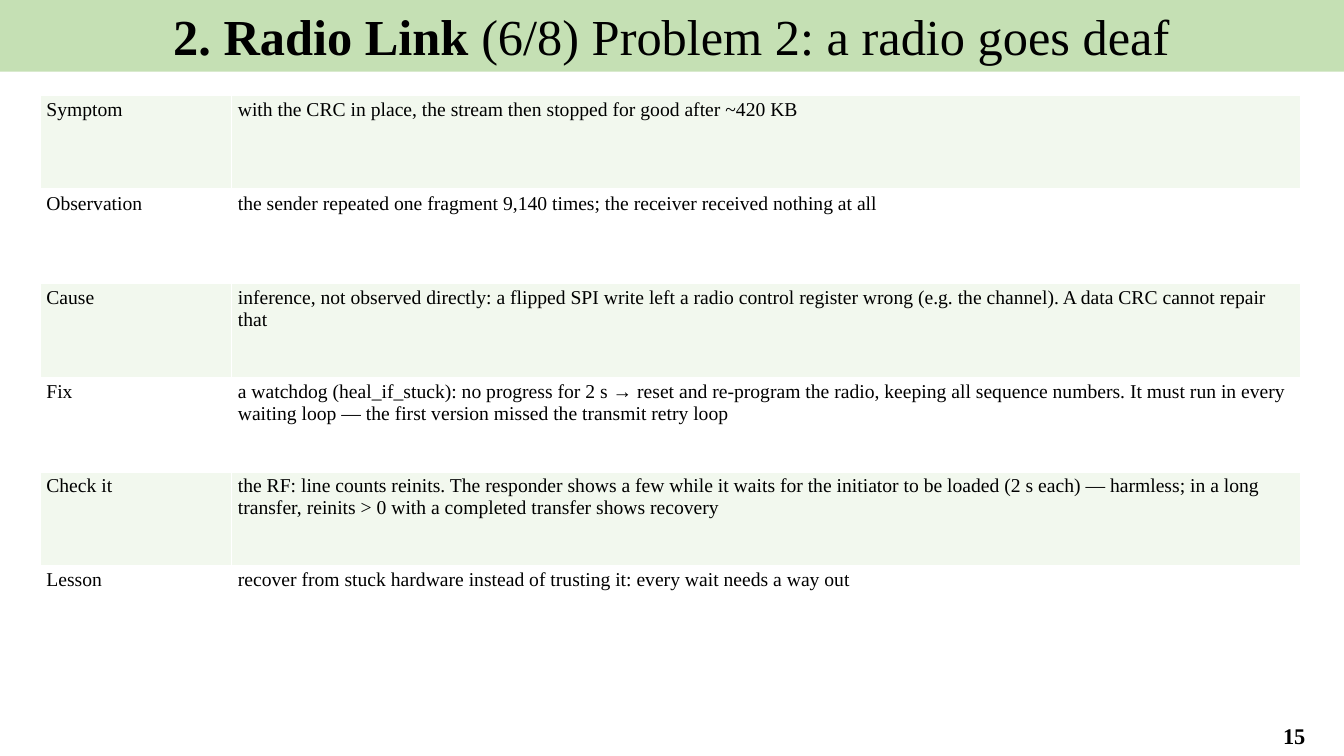
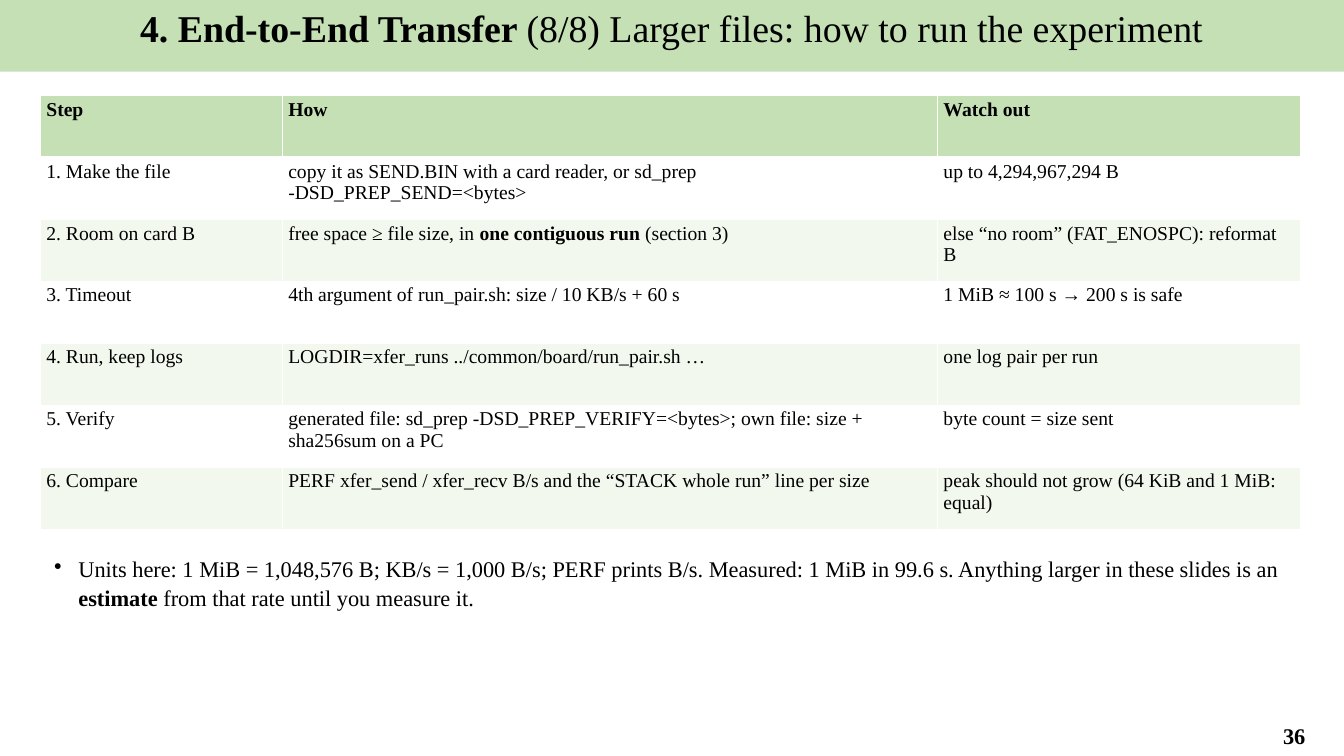
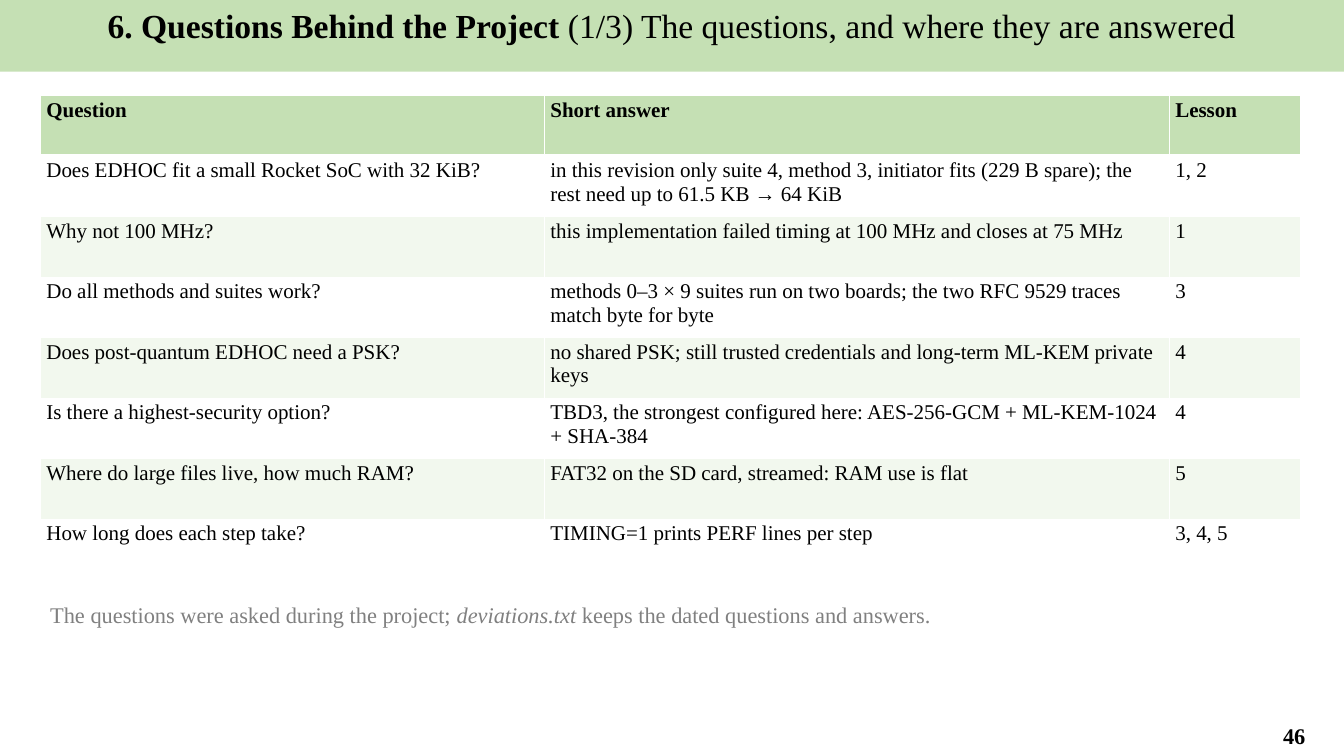
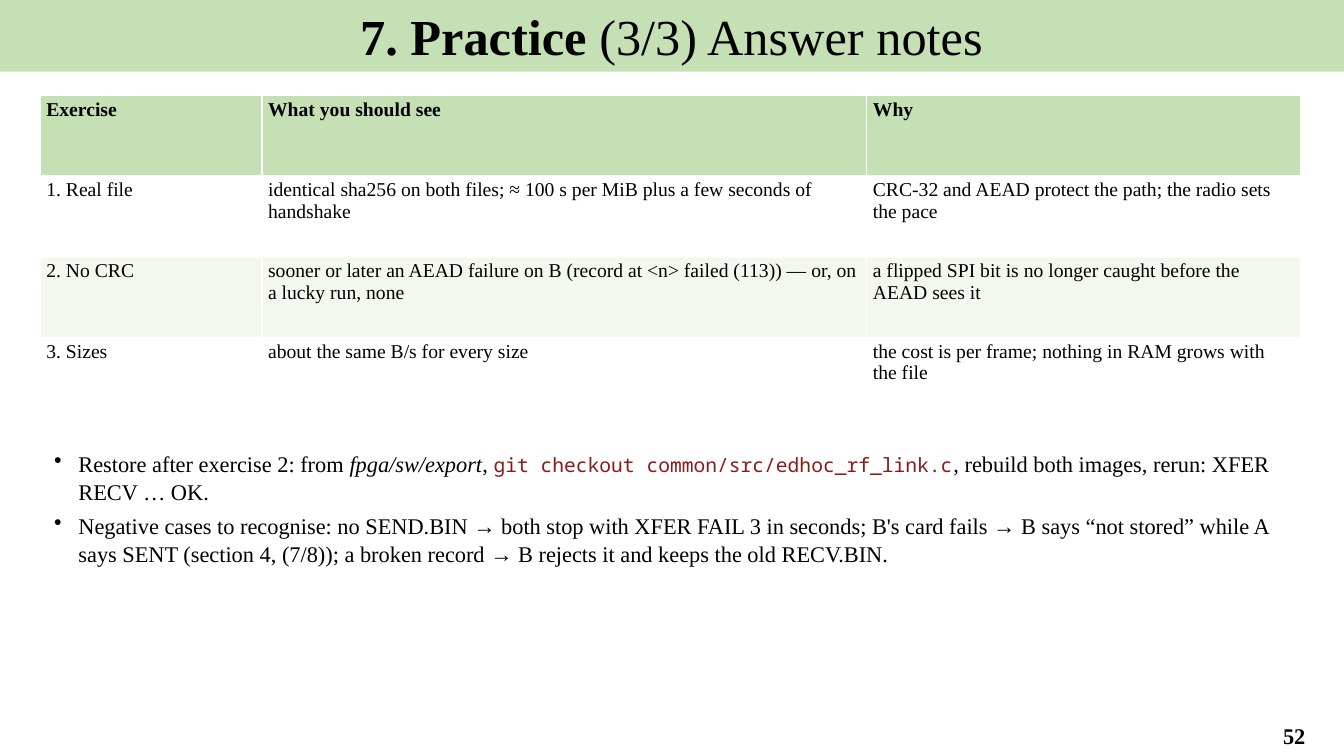
from dataclasses import dataclass
from typing import Optional, Union

from lxml import etree
from pptx import Presentation
from pptx import util as u
from pptx.dml.color import RGBColor
from pptx.enum import shapes, text
from pptx.oxml import ns

BLACK = RGBColor(0x00, 0x00, 0x00)
WHITE = RGBColor(0xFF, 0xFF, 0xFF)
GREEN = RGBColor(0xC5, 0xE0, 0xB4)
PALE_GREEN = RGBColor(0xF2, 0xF8, 0xEE)
GRAY = RGBColor(0x80, 0x80, 0x80)
CODE_RED = RGBColor(0x8B, 0x1A, 0x1A)

SERIF = "Times New Roman"
MONO = "Noto Sans Mono"

SLIDE_WIDTH = 960
SLIDE_HEIGHT = 540
BAND_HEIGHT = 51.12
MARGIN = 28.8
CONTENT_WIDTH = 900
TABLE_TOP = 68.4
NOTE_SIZE = 16
CODE_SIZE = 14
BULLET_INDENT = 20.16
BULLET_HANG = 17.28
CELL_MARGINS = {
    "margin_left": u.Pt(4.32),
    "margin_right": u.Pt(4.32),
    "margin_top": u.Pt(2.16),
    "margin_bottom": u.Pt(2.16),
}


@dataclass(frozen=True)
class Run:
    text: str
    bold: bool = False
    italic: bool = False
    code: bool = False


Line = Union[str, tuple[Run, ...]]


@dataclass(frozen=True)
class Grid:
    widths: tuple[float, ...]
    height: float
    rows: tuple[tuple[Line, ...], ...]
    size: float = 14
    header: bool = True


@dataclass(frozen=True)
class Note:
    top: float
    height: float
    lines: tuple[Line, ...]
    bullets: bool = True
    color: RGBColor = BLACK


@dataclass(frozen=True)
class Page:
    section: str
    topic: str
    title_size: float
    number: int
    grid: Grid
    note: Optional[Note] = None


PAGES = (
    Page(
        "2. Radio Link ", "(6/8) Problem 2: a radio goes deaf", 36, 15,
        Grid((136.8, 763.2), 403.2, (
            ("Symptom", "with the CRC in place, the stream then stopped for good after ~420 KB"),
            ("Observation",
             "the sender repeated one fragment 9,140 times; the receiver received nothing at all"),
            ("Cause",
             "inference, not observed directly: a flipped SPI write left a radio control register "
             "wrong (e.g. the channel). A data CRC cannot repair that"),
            ("Fix",
             "a watchdog (heal_if_stuck): no progress for 2 s → reset and re-program the radio, "
             "keeping all sequence numbers. It must run in every waiting loop — the first version "
             "missed the transmit retry loop"),
            ("Check it",
             "the RF: line counts reinits. The responder shows a few while it waits for the "
             "initiator to be loaded (2 s each) — harmless; in a long transfer, reinits > 0 with "
             "a completed transfer shows recovery"),
            ("Lesson",
             "recover from stuck hardware instead of trusting it: every wait needs a way out"),
        ), header=False),
    ),
    Page(
        "4. End-to-End Transfer ", "(8/8) Larger files: how to run the experiment", 27, 36,
        Grid((172.8, 468, 259.2), 309.6, (
            ("Step", "How", "Watch out"),
            ("1. Make the file",
             "copy it as SEND.BIN with a card reader, or sd_prep -DSD_PREP_SEND=<bytes>",
             "up to 4,294,967,294 B"),
            ("2. Room on card B",
             (Run("free space ≥ file size, in "), Run("one contiguous run", bold=True),
              Run(" (section 3)")),
             "else “no room” (FAT_ENOSPC): reformat B"),
            ("3. Timeout", "4th argument of run_pair.sh: size / 10 KB/s + 60 s",
             "1 MiB ≈ 100 s → 200 s is safe"),
            ("4. Run, keep logs", "LOGDIR=xfer_runs ../common/board/run_pair.sh …",
             "one log pair per run"),
            ("5. Verify",
             "generated file: sd_prep -DSD_PREP_VERIFY=<bytes>; own file: size + sha256sum on a PC",
             "byte count = size sent"),
            ("6. Compare",
             "PERF xfer_send / xfer_recv B/s and the “STACK whole run” line per size",
             "peak should not grow (64 KiB and 1 MiB: equal)"),
        )),
        Note(392.4, 100.8, (
            (Run("Units here: 1 MiB = 1,048,576 B; KB/s = 1,000 B/s; PERF prints B/s. Measured: "
                 "1 MiB in 99.6 s. Anything larger in these slides is an "),
             Run("estimate", bold=True), Run(" from that rate until you measure it.")),
        )),
    ),
    Page(
        "6. Questions Behind the Project ", "(1/3) The questions, and where they are answered",
        24, 46,
        Grid((360, 446.4, 93.6), 345.6, (
            ("Question", "Short answer", "Lesson"),
            ("Does EDHOC fit a small Rocket SoC with 32 KiB?",
             "in this revision only suite 4, method 3, initiator fits (229 B spare); the rest "
             "need up to 61.5 KB → 64 KiB", "1, 2"),
            ("Why not 100 MHz?",
             "this implementation failed timing at 100 MHz and closes at 75 MHz", "1"),
            ("Do all methods and suites work?",
             "methods 0–3 × 9 suites run on two boards; the two RFC 9529 traces match byte for byte",
             "3"),
            ("Does post-quantum EDHOC need a PSK?",
             "no shared PSK; still trusted credentials and long-term ML-KEM private keys", "4"),
            ("Is there a highest-security option?",
             "TBD3, the strongest configured here: AES-256-GCM + ML-KEM-1024 + SHA-384", "4"),
            ("Where do large files live, how much RAM?",
             "FAT32 on the SD card, streamed: RAM use is flat", "5"),
            ("How long does each step take?", "TIMING=1 prints PERF lines per step", "3, 4, 5"),
        ), size=15),
        Note(424.8, 57.6, (
            (Run("The questions were asked during the project; "),
             Run("deviations.txt", italic=True),
             Run(" keeps the dated questions and answers.")),
        ), bullets=False, color=GRAY),
    ),
    Page(
        "7. Practice ", "(3/3) Answer notes", 36, 52,
        Grid((158.4, 432, 309.6), 230.4, (
            ("Exercise", "What you should see", "Why"),
            ("1. Real file",
             "identical sha256 on both files; ≈ 100 s per MiB plus a few seconds of handshake",
             "CRC-32 and AEAD protect the path; the radio sets the pace"),
            ("2. No CRC",
             "sooner or later an AEAD failure on B (record at <n> failed (113)) — or, on a lucky "
             "run, none",
             "a flipped SPI bit is no longer caught before the AEAD sees it"),
            ("3. Sizes", "about the same B/s for every size",
             "the cost is per frame; nothing in RAM grows with the file"),
        )),
        Note(316.8, 180, (
            (Run("Restore after exercise 2: from "), Run("fpga/sw/export", italic=True), Run(", "),
             Run("git checkout common/src/edhoc_rf_link.c", code=True),
             Run(", rebuild both images, rerun: XFER RECV … OK.")),
            "Negative cases to recognise: no SEND.BIN → both stop with XFER FAIL 3 in seconds; "
            "B's card fails → B says “not stored” while A says SENT (section 4, (7/8)); a broken "
            "record → B rejects it and keeps the old RECV.BIN.",
        )),
    ),
)


def apply(target, values: dict) -> None:
    for name, value in values.items():
        setattr(target, name, value)


def write(paragraph, line: Line, size: float, color: RGBColor = BLACK, bold: bool = False) -> None:
    runs = (Run(line, bold=bold),) if isinstance(line, str) else line
    for item in runs:
        run = paragraph.add_run()
        run.text = item.text
        apply(run.font, {
            "name": MONO if item.code else SERIF,
            "size": u.Pt(CODE_SIZE if item.code else size),
            "bold": item.bold,
            "italic": item.italic,
        })
        run.font.color.rgb = CODE_RED if item.code else color


def add_title(slide, page: Page) -> None:
    band = slide.shapes.add_shape(
        shapes.MSO_SHAPE.RECTANGLE, u.Pt(-0.72), u.Pt(0), u.Pt(SLIDE_WIDTH + 0.72),
        u.Pt(BAND_HEIGHT))
    band.shadow.inherit = False
    band.fill.solid()
    band.fill.fore_color.rgb = GREEN
    band.line.fill.background()
    apply(band.text_frame, {
        "word_wrap": True,
        "vertical_anchor": text.MSO_ANCHOR.TOP,
        "auto_size": text.MSO_AUTO_SIZE.SHAPE_TO_FIT_TEXT,
    })
    paragraph = band.text_frame.paragraphs[0]
    paragraph.alignment = text.PP_ALIGN.CENTER
    write(paragraph, (Run(page.section, bold=True), Run(page.topic)), page.title_size)


def add_page_number(slide, number: int) -> None:
    box = slide.shapes.add_textbox(u.Pt(889.2), u.Pt(511.2), u.Pt(70.56), u.Pt(28.08))
    apply(box.text_frame, {"word_wrap": True, "vertical_anchor": text.MSO_ANCHOR.MIDDLE})
    paragraph = box.text_frame.paragraphs[0]
    paragraph.alignment = text.PP_ALIGN.CENTER
    write(paragraph, str(number), 16, bold=True)


def add_borders(cell, row_index: int) -> None:
    properties = cell._tc.get_or_add_tcPr()
    widths = {"lnL": 1, "lnR": 1, "lnT": 3 if row_index == 1 else 1,
              "lnB": 3 if row_index == 0 else 1}
    for edge, width in widths.items():
        line = etree.SubElement(properties, ns.qn(f"a:{edge}"), w=str(u.Pt(width)))
        fill = etree.SubElement(line, ns.qn("a:solidFill"))
        etree.SubElement(fill, ns.qn("a:srgbClr"), val=str(WHITE))


def add_grid(slide, grid: Grid) -> None:
    count = len(grid.rows)
    table = slide.shapes.add_table(
        count, len(grid.widths), u.Pt(MARGIN), u.Pt(TABLE_TOP), u.Pt(CONTENT_WIDTH),
        u.Pt(grid.height)).table
    apply(table, {"first_row": grid.header, "horz_banding": False})
    for column, width in zip(table.columns, grid.widths):
        column.width = u.Pt(width)
    for row_index, row in enumerate(grid.rows):
        table.rows[row_index].height = u.Pt(grid.height / count)
        is_header = grid.header and row_index == 0
        band_color = GREEN if is_header else WHITE if row_index % 2 else PALE_GREEN
        for column_index, line in enumerate(row):
            cell = table.cell(row_index, column_index)
            apply(cell, CELL_MARGINS)
            add_borders(cell, row_index)
            cell.fill.solid()
            cell.fill.fore_color.rgb = band_color
            write(cell.text_frame.paragraphs[0], line, grid.size, bold=is_header)


def add_bullet(paragraph) -> None:
    properties = paragraph._p.get_or_add_pPr()
    properties.set("marL", str(u.Pt(BULLET_INDENT)))
    properties.set("indent", str(u.Pt(-BULLET_HANG)))
    etree.SubElement(properties, ns.qn("a:buChar"), char="•")


def add_note(slide, note: Note) -> None:
    box = slide.shapes.add_textbox(
        u.Pt(MARGIN), u.Pt(note.top), u.Pt(CONTENT_WIDTH), u.Pt(note.height))
    frame = box.text_frame
    apply(frame, {"word_wrap": True, "auto_size": text.MSO_AUTO_SIZE.SHAPE_TO_FIT_TEXT})
    for index, line in enumerate(note.lines):
        paragraph = frame.add_paragraph() if index else frame.paragraphs[0]
        if note.bullets:
            add_bullet(paragraph)
        apply(paragraph, {"space_after": u.Pt(4), "line_spacing": 1.05})
        write(paragraph, line, NOTE_SIZE, note.color)


def main() -> None:
    presentation = Presentation()
    apply(presentation, {"slide_width": u.Pt(SLIDE_WIDTH), "slide_height": u.Pt(SLIDE_HEIGHT)})
    for page in PAGES:
        slide = presentation.slides.add_slide(presentation.slide_layouts[6])
        add_title(slide, page)
        add_page_number(slide, page.number)
        add_grid(slide, page.grid)
        if page.note:
            add_note(slide, page.note)
    presentation.save("out.pptx")


if __name__ == "__main__":
    main()
